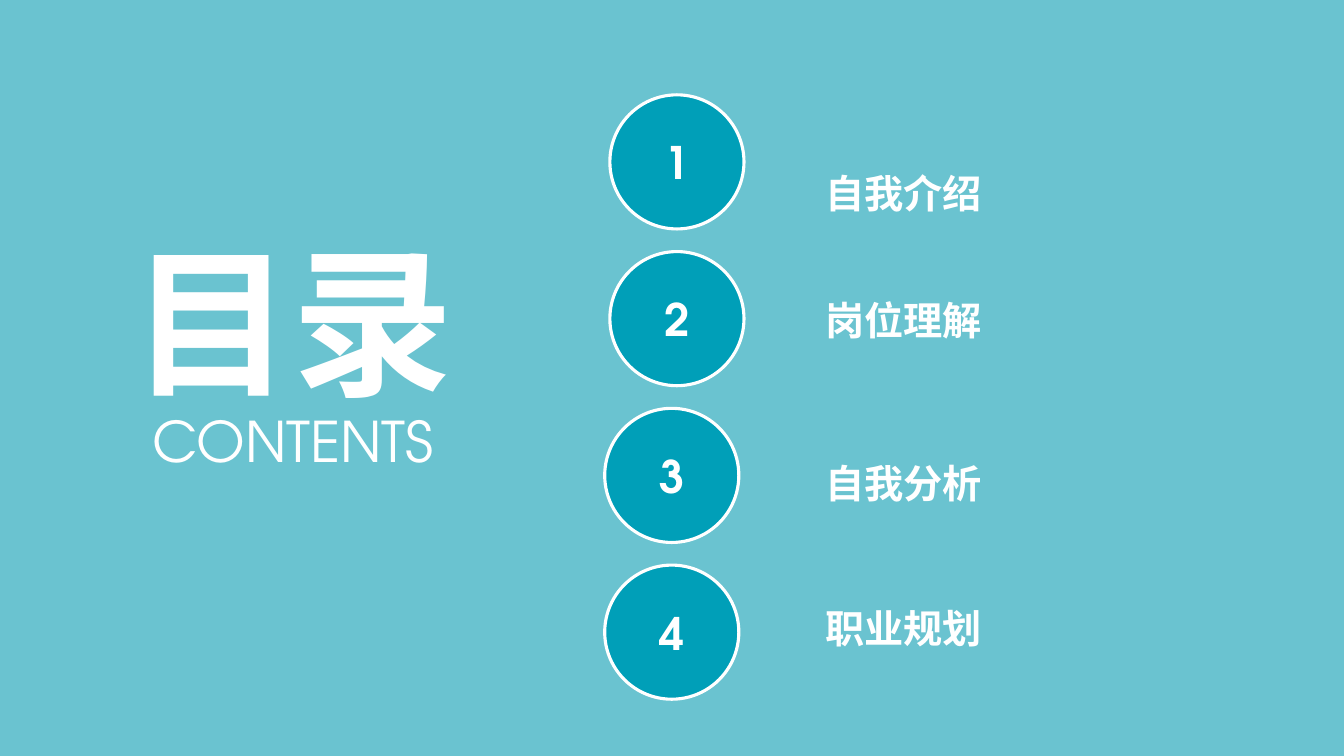
"""Builds a contents slide with four numbered sections."""
import pptx
import pptx.dml.color
import pptx.enum.shapes
import pptx.enum.text
import pptx.oxml
import pptx.oxml.ns
import pptx.util
from pptx.util import Cm

BACKGROUND = pptx.dml.color.RGBColor(0x6A, 0xC3, 0xD0)
TEAL = pptx.dml.color.RGBColor(0x00, 0x9F, 0xB8)
WHITE = pptx.dml.color.RGBColor(0xFF, 0xFF, 0xFF)
CHINESE_FONT = "Noto Sans CJK SC"
LATIN_FONT = "TeX Gyre Adventor"


def write_text(frame, text, *, size, font, bold=True, centred=True, wrap=True, grow=True):
    frame.word_wrap = wrap
    if grow:
        frame.auto_size = pptx.enum.text.MSO_AUTO_SIZE.SHAPE_TO_FIT_TEXT
    paragraph = frame.paragraphs[0]
    align = pptx.enum.text.PP_ALIGN
    paragraph.alignment = align.CENTER if centred else align.LEFT
    run = paragraph.add_run()
    run.text = text
    run.font.size = pptx.util.Pt(size)
    run.font.bold = bold
    run.font.color.rgb = WHITE
    run.font.name = font
    east_asian = pptx.oxml.parse_xml(
        f'<a:ea {pptx.oxml.ns.nsdecls("a")} typeface="{font}"/>')
    run.font._element.append(east_asian)


deck = pptx.Presentation()
deck.slide_width = Cm(33.87)
deck.slide_height = Cm(19.05)
slide = deck.slides.add_slide(deck.slide_layouts[6])
slide.background.fill.solid()
slide.background.fill.fore_color.rgb = BACKGROUND

subtitle = slide.shapes.add_textbox(Cm(3.53), Cm(10.11), Cm(7.7), Cm(1.96))
write_text(subtitle.text_frame, "CONTENTS", size=40, font=LATIN_FONT, bold=False, wrap=False)

sections = [
    ("自我介绍", 4.14, 15.37),
    ("岗位理解", 7.34, 15.37),
    ("自我分析", 11.46, 15.24),
    ("职业规划", 15.11, 15.24),
]
for index, (section, section_top, number_left) in enumerate(sections):
    heading = slide.shapes.add_textbox(Cm(20.55), Cm(section_top), Cm(5.94), Cm(1.45))
    write_text(heading.text_frame, section, size=28, font=CHINESE_FONT, centred=False)

    number = slide.shapes.add_shape(
        pptx.enum.shapes.MSO_SHAPE.OVAL,
        Cm(number_left), Cm(2.39 + 3.95 * index), Cm(3.38), Cm(3.38))
    number.shadow.inherit = False
    number.fill.solid()
    number.fill.fore_color.rgb = TEAL
    number.line.color.rgb = WHITE
    number.line.width = pptx.util.Pt(2.25)
    number.text_frame.vertical_anchor = pptx.enum.text.MSO_ANCHOR.MIDDLE
    write_text(number.text_frame, str(index + 1), size=32, font=LATIN_FONT, grow=False)

title = slide.shapes.add_textbox(Cm(3.02), Cm(5.49), Cm(8.71), Cm(5.18))
write_text(title.text_frame, "目录", size=115, font=CHINESE_FONT, wrap=False)

deck.save("out.pptx")
